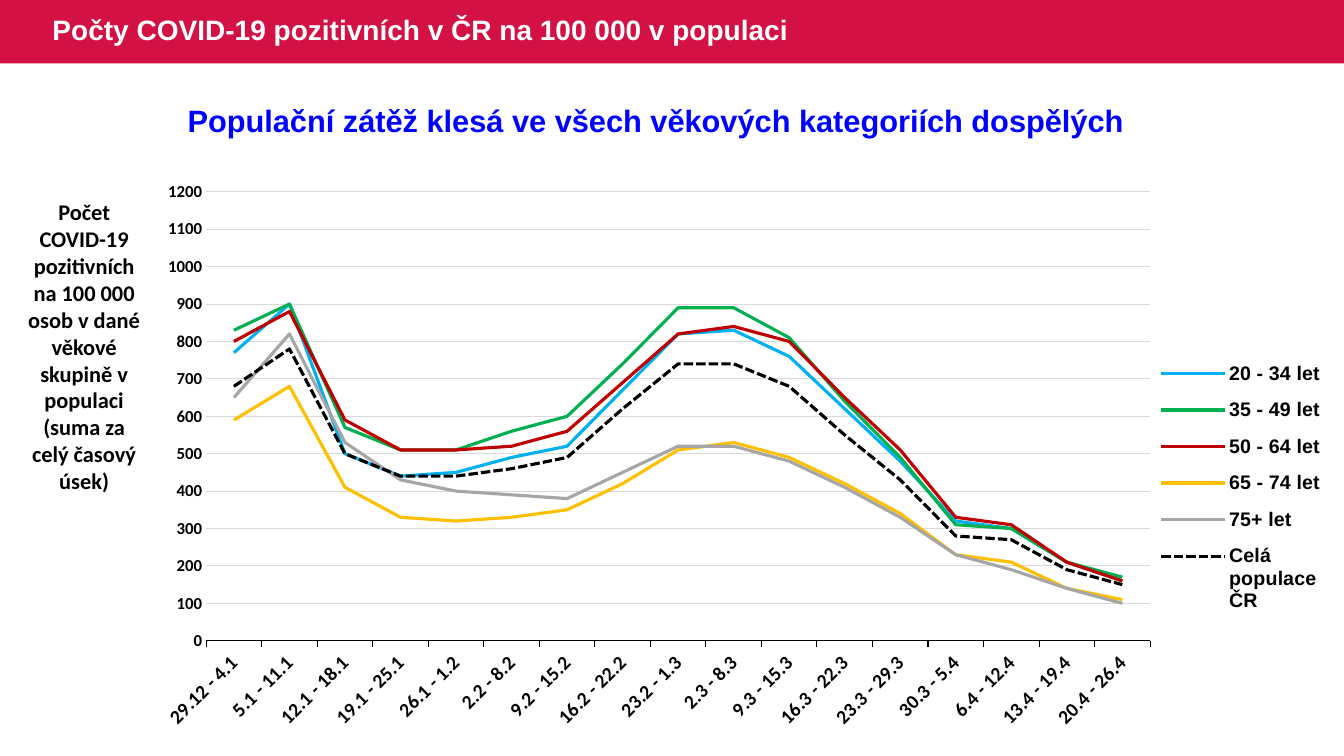
import pptx
import pptx.chart.data
import pptx.dml.color
import pptx.enum.chart
import pptx.enum.dml
import pptx.enum.shapes
import pptx.enum.text
import pptx.oxml
import pptx.oxml.ns
import pptx.util
from dataclasses import dataclass

# Content
TITLE = "Počty COVID-19 pozitivních v ČR na 100 000 v populaci"
HEADLINE = "Populační zátěž klesá ve všech věkových kategoriích dospělých"
AXIS_NOTE = ("Počet COVID-19 pozitivních na 100 000 osob v dané věkové skupině "
             "v populaci (suma za celý časový úsek)")
WEEKS = ["29.12 - 4.1", "5.1 - 11.1", "12.1 - 18.1", "19.1 - 25.1", "26.1 - 1.2",
         "2.2 - 8.2", "9.2 - 15.2", "16.2 - 22.2", "23.2 - 1.3", "2.3 - 8.3",
         "9.3 - 15.3", "16.3 - 22.3", "23.3 - 29.3", "30.3 - 5.4", "6.4 - 12.4",
         "13.4 - 19.4", "20.4 - 26.4"]
AGE_GROUPS = [
    ("20 - 34 let", "00B0F0", [770, 900, 500, 440, 450, 490, 520, 670, 820, 830,
                               760, 620, 480, 320, 300, 210, 160]),
    ("35 - 49 let", "00B050", [830, 900, 570, 510, 510, 560, 600, 740, 890, 890,
                               810, 640, 490, 310, 300, 210, 170]),
    ("50 - 64 let", "C00000", [800, 880, 590, 510, 510, 520, 560, 690, 820, 840,
                               800, 650, 510, 330, 310, 210, 160]),
    ("65 - 74 let", "FFC000", [590, 680, 410, 330, 320, 330, 350, 420, 510, 530,
                               490, 420, 340, 230, 210, 140, 110]),
    ("75+ let", "A6A6A6", [650, 820, 530, 430, 400, 390, 380, 450, 520, 520,
                           480, 410, 330, 230, 190, 140, 100]),
    ("Celá populace ČR", "000000", [680, 780, 500, 440, 440, 460, 490, 620, 740, 740,
                                    680, 550, 430, 280, 270, 190, 150]),
]
DASHED = "Celá populace ČR"


@dataclass(frozen=True)
class Theme:
    band: str = "D31145"
    title: str = "FFFFFF"
    headline: str = "0000FF"
    ink: str = "000000"
    grid: str = "D9D9D9"
    sans: str = "Arial"
    axis: str = "Calibri"
    title_pt: int = 20
    headline_pt: int = 22
    note_pt: int = 16
    label_pt: int = 14
    value_pt: int = 12
    series_pt: float = 2.25
    rule_pt: float = 0.75


T = Theme()

# Places in inches: left, top, width, height
WIDTH, HEIGHT, BAND = 13.33, 7.5, 0.63
TITLE_BOX = (0.42, 0, 8.37, BAND)
HEADLINE_BOX = (0.3, 0.96, 12.41, 0.47)
NOTE_BOX = (0.15, 1.92, 1.37, 3.06)
CHART_BOX = (1.52, 1.75, 11.66, 5.87)
# Shares of the chart: left, top, width, height
PLOT = (0.045, 0.026, 0.803, 0.759)
LEGEND = (0.85, 0.29, 0.15, 0.47)


def inches(box):
    return [pptx.util.Inches(v) for v in box]


def rgb(color):
    return pptx.dml.color.RGBColor.from_string(color)


def set_font(font, name, size, color):
    font.name, font.size, font.bold = name, pptx.util.Pt(size), True
    font.color.rgb = rgb(color)


def set_line(line, color, width):
    line.color.rgb = rgb(color)
    line.width = pptx.util.Pt(width)


def write(sp, text, name, size, color, align):
    tf = sp.text_frame
    tf.word_wrap = True
    tf.text = text
    p = tf.paragraphs[0]
    p.alignment = align
    set_font(p.runs[0].font, name, size, color)
    return tf


def layout_xml(box, inner=False):
    target = '<c:layoutTarget val="inner"/>' if inner else ""
    modes = '<c:xMode val="edge"/><c:yMode val="edge"/>'
    sizes = "".join(f'<c:{k} val="{v}"/>' for k, v in zip("xywh", box))
    return pptx.oxml.parse_xml(
        f'<c:layout {pptx.oxml.ns.nsdecls("c")}><c:manualLayout>'
        f'{target}{modes}{sizes}</c:manualLayout></c:layout>')


def place(parent, layout, index):
    for old in parent.findall(pptx.oxml.ns.qn("c:layout")):
        parent.remove(old)
    parent.insert(index, layout)


def add_line_chart(s):
    data = pptx.chart.data.CategoryChartData()
    data.categories = WEEKS
    for name, _, values in AGE_GROUPS:
        data.add_series(name, values)
    kind = pptx.enum.chart.XL_CHART_TYPE.LINE
    chart = s.shapes.add_chart(kind, *inches(CHART_BOX), data).chart
    chart.has_title = False
    set_font(chart.font, T.sans, T.label_pt, T.ink)

    # Series
    plot = chart.plots[0]
    plot.vary_by_categories = False
    for series, (name, color, _) in zip(plot.series, AGE_GROUPS):
        series.smooth = False
        series.marker.style = pptx.enum.chart.XL_MARKER_STYLE.NONE
        set_line(series.format.line, color, T.series_pt)
        if name == DASHED:
            series.format.line.dash_style = pptx.enum.dml.MSO_LINE.SQUARE_DOT

    # Axes
    marks = pptx.enum.chart.XL_TICK_MARK
    weeks, counts = chart.category_axis, chart.value_axis
    weeks.major_tick_mark = marks.OUTSIDE
    set_font(weeks.tick_labels.font, T.axis, T.label_pt, T.ink)
    set_line(weeks.format.line, T.ink, T.rule_pt)
    weeks._element.find(pptx.oxml.ns.qn("c:txPr")).bodyPr.set("rot", "-2700000")
    counts.minimum_scale, counts.maximum_scale, counts.major_unit = 0, 1200, 100
    counts.major_tick_mark = marks.NONE
    set_font(counts.tick_labels.font, T.axis, T.value_pt, T.ink)
    counts.format.line.fill.background()
    set_line(counts.major_gridlines.format.line, T.grid, T.rule_pt)

    # Legend and plot area
    chart.has_legend = True
    legend = chart.legend
    legend.position = pptx.enum.chart.XL_LEGEND_POSITION.RIGHT
    legend.include_in_layout = False
    set_font(legend.font, T.sans, T.label_pt, T.ink)
    place(legend._element, layout_xml(LEGEND), 1)
    place(chart._chartSpace.chart.plotArea, layout_xml(PLOT, inner=True), 0)


def main():
    prs = pptx.Presentation()
    prs.slide_width, prs.slide_height = inches((WIDTH, HEIGHT))
    s = prs.slides.add_slide(prs.slide_layouts[5])
    align = pptx.enum.text.PP_ALIGN

    # Title on its band
    band = s.shapes.add_shape(pptx.enum.shapes.MSO_SHAPE.RECTANGLE,
                              *inches((0, 0, WIDTH, BAND)))
    band.shadow.inherit = False
    band.fill.solid()
    band.fill.fore_color.rgb = rgb(T.band)
    band.line.fill.background()
    title = s.shapes.title
    band._element.addnext(title._element)
    title.left, title.top, title.width, title.height = inches(TITLE_BOX)
    tf = write(title, TITLE, T.sans, T.title_pt, T.title, align.LEFT)
    tf.vertical_anchor = pptx.enum.text.MSO_ANCHOR.MIDDLE
    tf.auto_size = pptx.enum.text.MSO_AUTO_SIZE.NONE
    tf.paragraphs[0].line_spacing = 0.9

    # Chart with its note and headline
    add_line_chart(s)
    write(s.shapes.add_textbox(*inches(NOTE_BOX)), AXIS_NOTE,
          T.axis, T.note_pt, T.ink, align.CENTER)
    write(s.shapes.add_textbox(*inches(HEADLINE_BOX)), HEADLINE,
          T.sans, T.headline_pt, T.headline, align.CENTER)

    prs.save("out.pptx")


if __name__ == "__main__":
    main()
